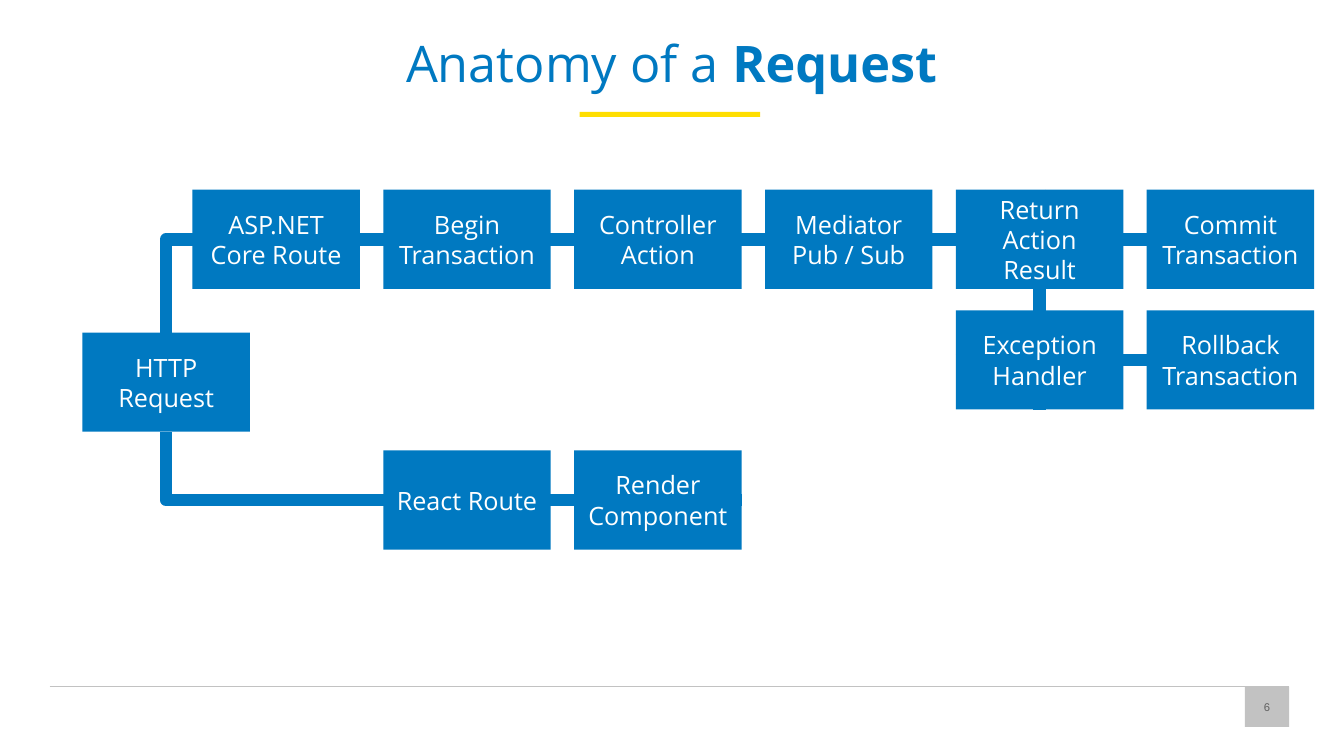
from pptx import Presentation
from pptx.dml.color import RGBColor
from pptx.enum.shapes import MSO_CONNECTOR as CONN, MSO_SHAPE as SHAPE
from pptx.enum.text import MSO_ANCHOR as ANCHOR, MSO_AUTO_SIZE as AUTO, PP_ALIGN as ALIGN
from pptx.oxml.ns import qn
from pptx.util import Cm, Pt
from lxml.etree import SubElement

BLUE, YELLOW, GREY, DARK, WHITE = "0079C1", "FFDE00", "C2C2C2", "606060", "FFFFFF"
BOX_W, BOX_H = 4.22, 2.5
COL_X, COL_STEP = 4.85, 4.81
ROW_Y = {"route": 4.78, "error": 7.82, "react": 11.35}
HTTP_X, HTTP_Y = 2.08, 8.38
TOP, LEFT, BOTTOM = 0, 1, 2  # connection sites of a rectangle

STEPS = [
    ("route", 0, "ASP.NET Core Route"),
    ("route", 1, "Begin Transaction"),
    ("route", 2, "Controller Action"),
    ("route", 3, "Mediator Pub / Sub"),
    ("route", 4, "Return Action Result"),
    ("route", 5, "Commit Transaction"),
    ("error", 4, "Exception Handler"),
    ("error", 5, "Rollback Transaction"),
    ("react", 1, "React Route"),
    ("react", 2, "Render\nComponent"),
]


def rgb(value):
    return RGBColor.from_string(value)


def col_x(col):
    return COL_X + col * COL_STEP


class Deck:
    """Holds the slide and the text style shared by its elements."""

    font = "Open Sans"

    def __init__(self):
        self.prs = Presentation()
        self.prs.slide_width, self.prs.slide_height = Cm(33.87), Cm(19.05)
        self.s = self.prs.slides.add_slide(self.prs.slide_layouts[5])

    def run(self, p, text, size, color, bold=False, font=None):
        r = p.add_run()
        r.text = text
        f = r.font
        f.name, f.size, f.bold = font or self.font, Pt(size), bold
        f.color.rgb = rgb(color)

    def frame(self, tf, anchor, inset=0.25):
        tf.word_wrap, tf.auto_size, tf.vertical_anchor = True, AUTO.NONE, anchor
        tf.margin_left = tf.margin_right = Cm(0.25)
        tf.margin_top = tf.margin_bottom = Cm(inset)

    def title(self, x, y, w, h, parts):
        sp = self.s.shapes.title
        sp.left, sp.top, sp.width, sp.height = Cm(x), Cm(y), Cm(w), Cm(h)
        self.frame(sp.text_frame, ANCHOR.TOP)
        p = sp.text_frame.paragraphs[0]
        p.alignment, p.line_spacing = ALIGN.CENTER, 0.9
        for text, bold in parts:
            self.run(p, text, 36, BLUE, bold)

    def rect(self, x, y, w, h, fill):
        sp = self.s.shapes.add_shape(SHAPE.RECTANGLE, Cm(x), Cm(y), Cm(w), Cm(h))
        sp.shadow.inherit = False
        sp.fill.solid()
        sp.fill.fore_color.rgb = rgb(fill)
        sp.line.fill.background()
        return sp

    def step(self, x, y, text):
        sp = self.rect(x, y, BOX_W, BOX_H, BLUE)
        tf = sp.text_frame
        self.frame(tf, ANCHOR.MIDDLE)
        for i, line in enumerate(text.split("\n")):
            p = tf.add_paragraph() if i else tf.paragraphs[0]
            p.alignment = ALIGN.CENTER
            self.run(p, line, 18, WHITE)
        return sp

    def page_number(self, x, y, w, h, text):
        tf = self.rect(x, y, w, h, GREY).text_frame
        self.frame(tf, ANCHOR.MIDDLE, 0.1)
        p = tf.paragraphs[0]
        p.alignment = ALIGN.CENTER
        self.run(p, text, 8, DARK, font="Arial")

    def line(self, x1, y1, x2, y2, color=BLUE, width=9, kind=CONN.STRAIGHT):
        c = self.s.shapes.add_connector(kind, Cm(x1), Cm(y1), Cm(x2), Cm(y2))
        c.line.color.rgb, c.line.width = rgb(color), Pt(width)
        SubElement(c._element.spPr, qn("a:effectLst"))
        return c

    def elbow(self, start, start_site, end, end_site):
        """Join two boxes with a connector that turns once."""
        c = self.line(0, 0, 1, 1, kind=CONN.ELBOW)
        c.begin_connect(start, start_site)
        c.end_connect(end, end_site)
        c._element.spPr.find(qn("a:prstGeom")).set("prst", "bentConnector2")


def main():
    d = Deck()
    d.title(2.36, 0.74, 29.13, 2.51, [("Anatomy of a ", False), ("Request", True)])
    d.rect(14.61, 2.82, 4.55, 0.13, YELLOW)
    d.line(1.25, 17.3, 32.49, 17.3, GREY, 0.75)
    d.page_number(31.37, 17.3, 1.12, 1.02, "6")

    for row, first, last in [("react", 1, 2), ("error", 4, 5), ("route", 0, 5)]:
        y = ROW_Y[row] + BOX_H / 2
        d.line(col_x(first), y, col_x(last) + BOX_W, y)
    x = col_x(4) + BOX_W / 2
    d.line(x, ROW_Y["route"], x, ROW_Y["error"] + BOX_H)

    boxes = {(row, col): d.step(col_x(col), ROW_Y[row], text) for row, col, text in STEPS}
    http = d.step(HTTP_X, HTTP_Y, "HTTP Request")
    d.elbow(boxes["route", 0], LEFT, http, TOP)
    d.elbow(boxes["react", 1], LEFT, http, BOTTOM)
    d.prs.save("out.pptx")


if __name__ == "__main__":
    main()
